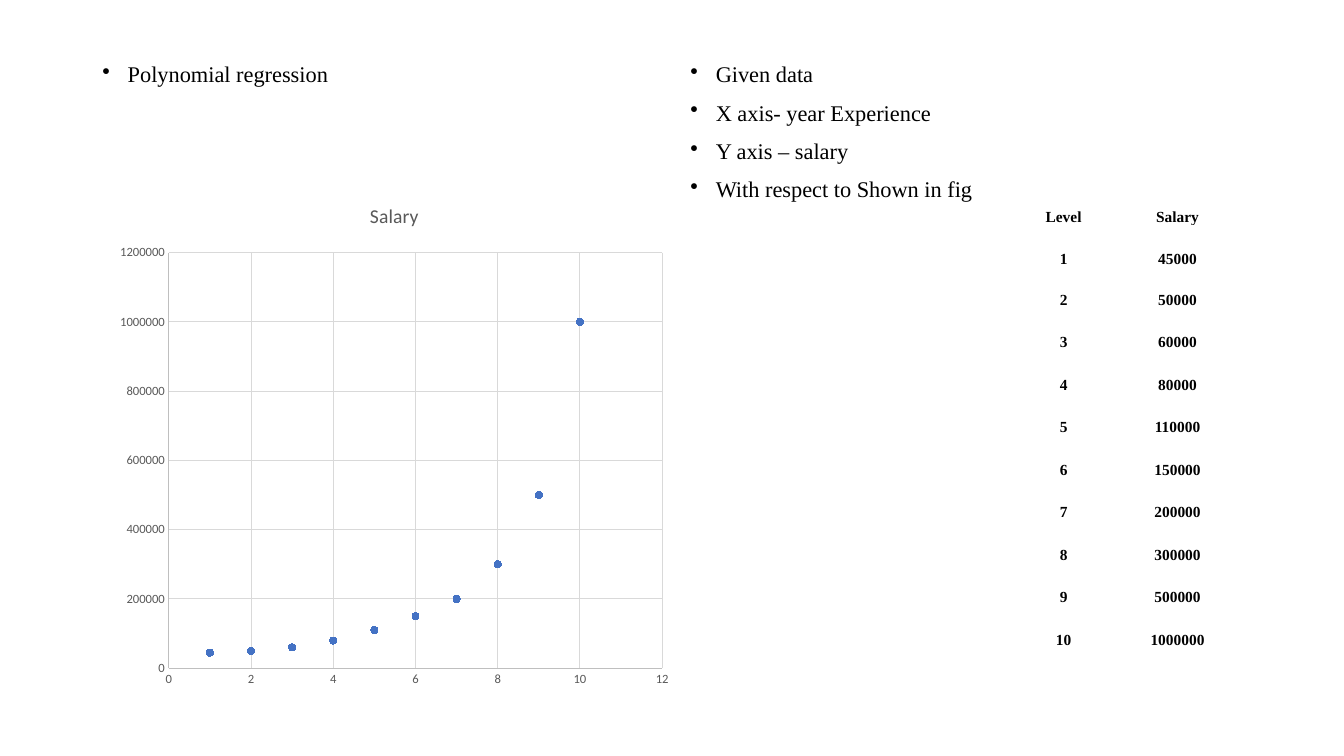
"""Build a slide on polynomial regression of salary by level."""
from lxml import etree
from pptx import Presentation
from pptx.chart.data import XyChartData
from pptx.dml.color import RGBColor
from pptx.enum.chart import XL_CHART_TYPE, XL_MARKER_STYLE, XL_TICK_MARK
from pptx.enum.text import MSO_ANCHOR, PP_ALIGN
from pptx.oxml.ns import qn
from pptx.util import Cm, Pt

SCATTER = XL_CHART_TYPE.XY_SCATTER
CIRCLE = XL_MARKER_STYLE.CIRCLE
NO_TICK = XL_TICK_MARK.NONE
BOTTOM = MSO_ANCHOR.BOTTOM
CENTER = PP_ALIGN.CENTER
SERIF, SANS = "Times New Roman", "Calibri"
PAY = [45000, 50000, 60000, 80000, 110000, 150000, 200000, 300000, 500000, 1000000]
TOP = Cm(4.62)


def paint(item, tint):
    item.fill.solid()
    item.fill.fore_color.rgb = RGBColor.from_string(tint)


def style(font, name, size, tint, bold=False):
    paint(font, tint)
    for key, value in {"name": name, "size": Pt(size), "bold": bold}.items():
        setattr(font, key, value)


deck = Presentation()
deck.slide_width, deck.slide_height = Cm(33.87), Cm(19.05)
slide = deck.slides.add_slide(deck.slide_layouts[6])

notes = {
    17.15: ["Given data", "X axis- year Experience", "Y axis – salary", "With respect to Shown in fig"],
    2.33: ["Polynomial regression"],
}
for left, lines in notes.items():
    box = slide.shapes.add_textbox(Cm(left), Cm(1.48), Cm(14.4), Cm(15.7))
    frame = box.text_frame
    frame.word_wrap = True
    frame.text = "\n".join(lines)
    for para in frame.paragraphs:
        style(para.font, SERIF, 16, "000000")
        para.line_spacing = 0.9
        para.space_before = Pt(10)
        props = para._p.get_or_add_pPr()
        props.set("marL", str(Cm(0.64)))
        props.set("indent", str(-Cm(0.64)))
        mark = etree.Element(qn("a:buChar"), char="•")
        props.insert_element_before(mark, "a:tabLst", "a:defRPr", "a:extLst")

data = XyChartData()
points = data.add_series("Salary")
for level, pay in enumerate(PAY, 1):
    points.add_data_point(level, pay)
chart = slide.shapes.add_chart(SCATTER, Cm(2.74), TOP, Cm(14.4), Cm(12.95), data).chart
style(chart.font, SANS, 10, "000000")
chart.has_legend = False
chart.has_title = True
title = chart.chart_title
title.include_in_layout = False
title.text_frame.text = "Salary"
style(title.text_frame.paragraphs[0].runs[0].font, SANS, 14, "595959")

axes = [(chart.category_axis, 12, 2), (chart.value_axis, 1200000, 200000)]
for axis, top, step in axes:
    form = {
        "minimum_scale": 0, "maximum_scale": top, "major_unit": step,
        "has_major_gridlines": True, "has_minor_gridlines": False,
        "major_tick_mark": NO_TICK, "minor_tick_mark": NO_TICK,
    }
    for key, value in form.items():
        setattr(axis, key, value)
    axis.tick_labels.number_format = "General"
    axis.tick_labels.number_format_is_linked = False
    style(axis.tick_labels.font, SANS, 9, "595959")
    for line, tint in [(axis.format.line, "BFBFBF"), (axis.major_gridlines.format.line, "D9D9D9")]:
        paint(line, tint)
        line.width = Pt(0.75)

plot = chart.plots[0]
plot.vary_by_categories = False
series = plot.series[0]
series.smooth = False
series.format.line.fill.background()
series.marker.style = CIRCLE
series.marker.size = 5
paint(series.marker.format, "4472C4")
paint(series.marker.format.line, "4472C4")

rows = [("Level", "Salary"), *enumerate(PAY, 1)]
table = slide.shapes.add_table(len(rows), 2, Cm(25.37), TOP, Cm(5.74), Cm(11.72)).table
for col in table.columns:
    col.width = Cm(2.87)
form = {
    "margin_left": Cm(0.03), "margin_right": Cm(0.03), "margin_top": Cm(0.03),
    "margin_bottom": 0, "vertical_anchor": BOTTOM,
}
for i, row in enumerate(rows):
    table.rows[i].height = Cm(1.02 if i == 2 else 1.07)
    for j, value in enumerate(row):
        cell = table.cell(i, j)
        cell.fill.background()
        for key, setting in form.items():
            setattr(cell, key, setting)
        cell.text = str(value)
        para = cell.text_frame.paragraphs[0]
        para.alignment = CENTER
        style(para.runs[0].font, SERIF, 11, "000000", True)

deck.save("out.pptx")
